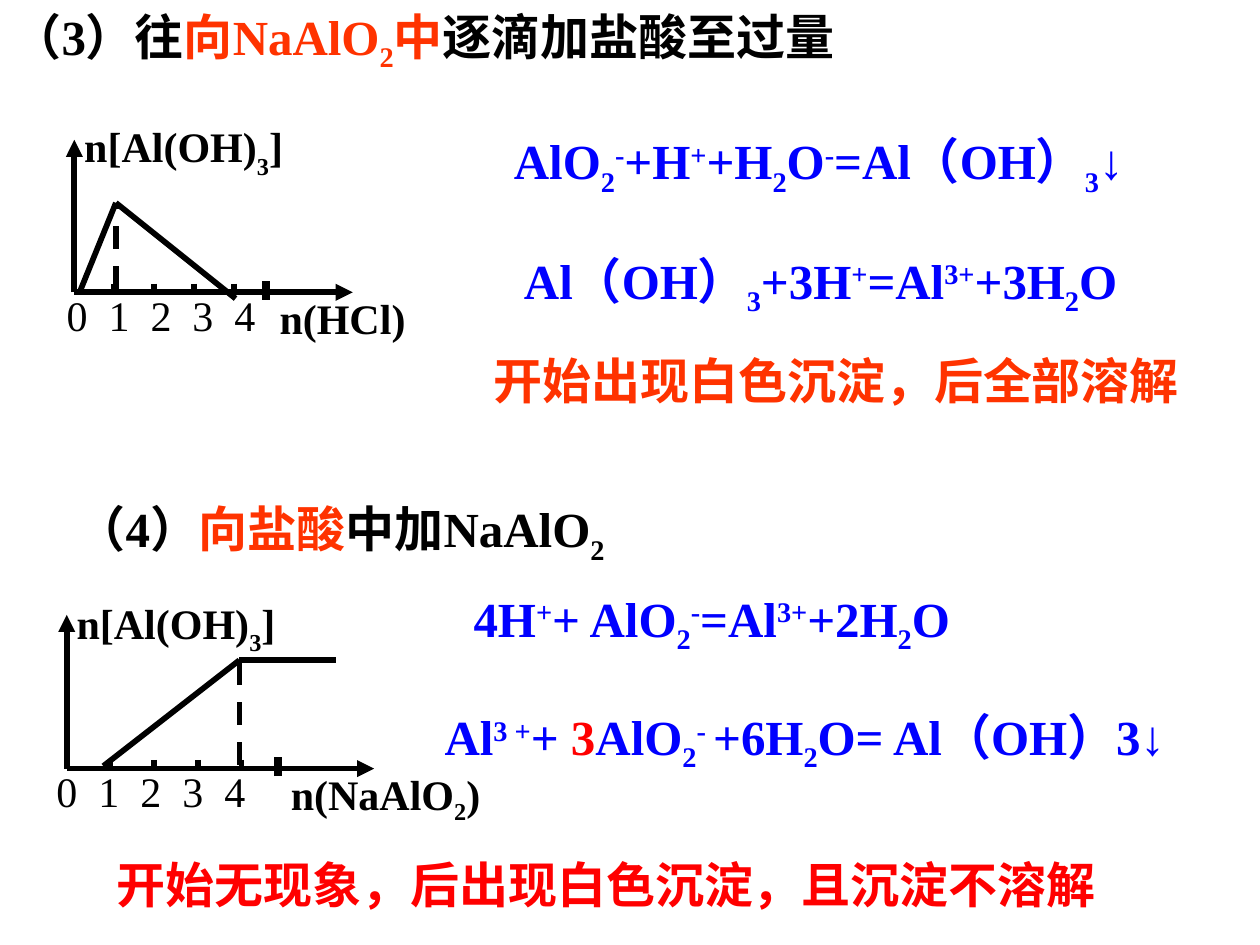
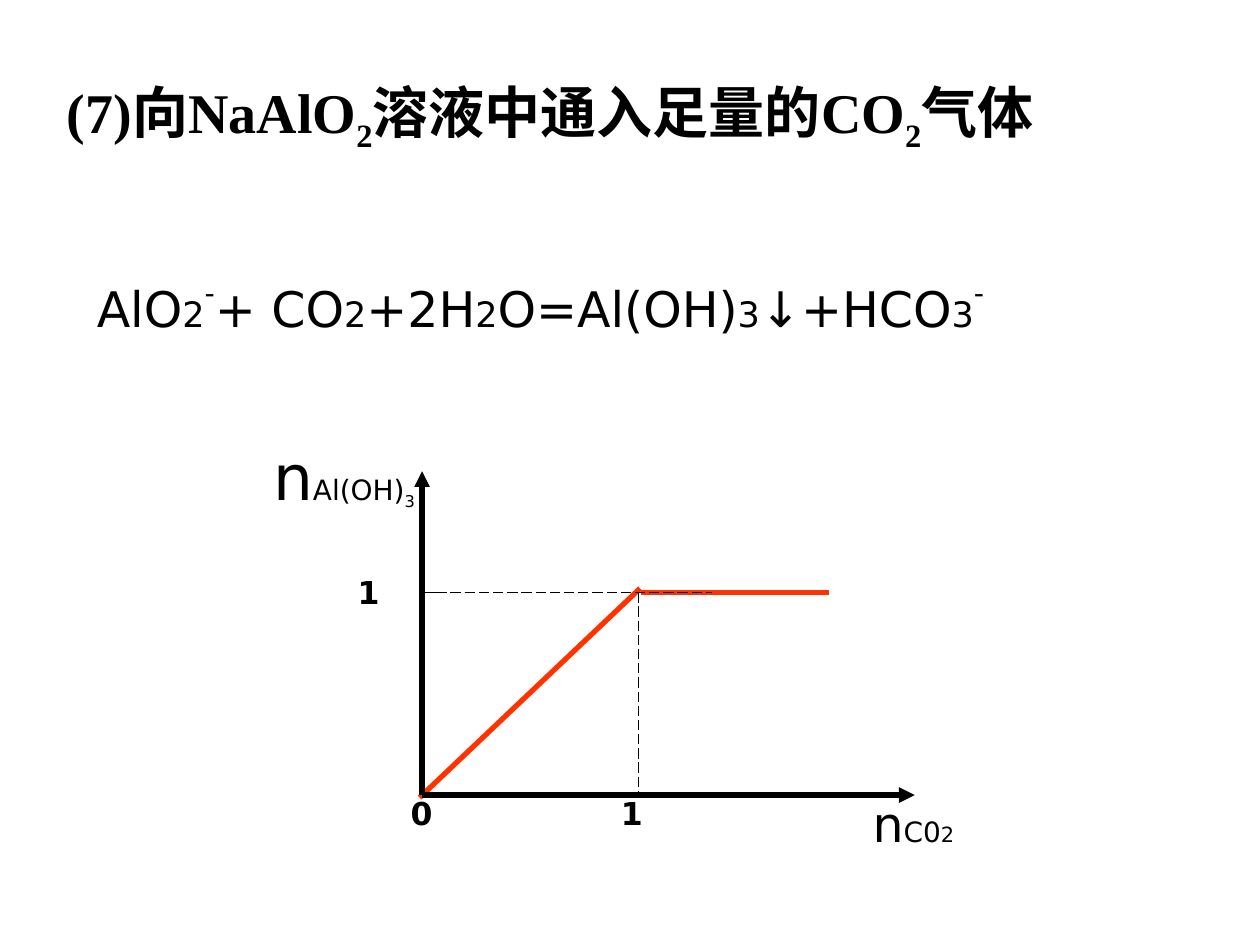
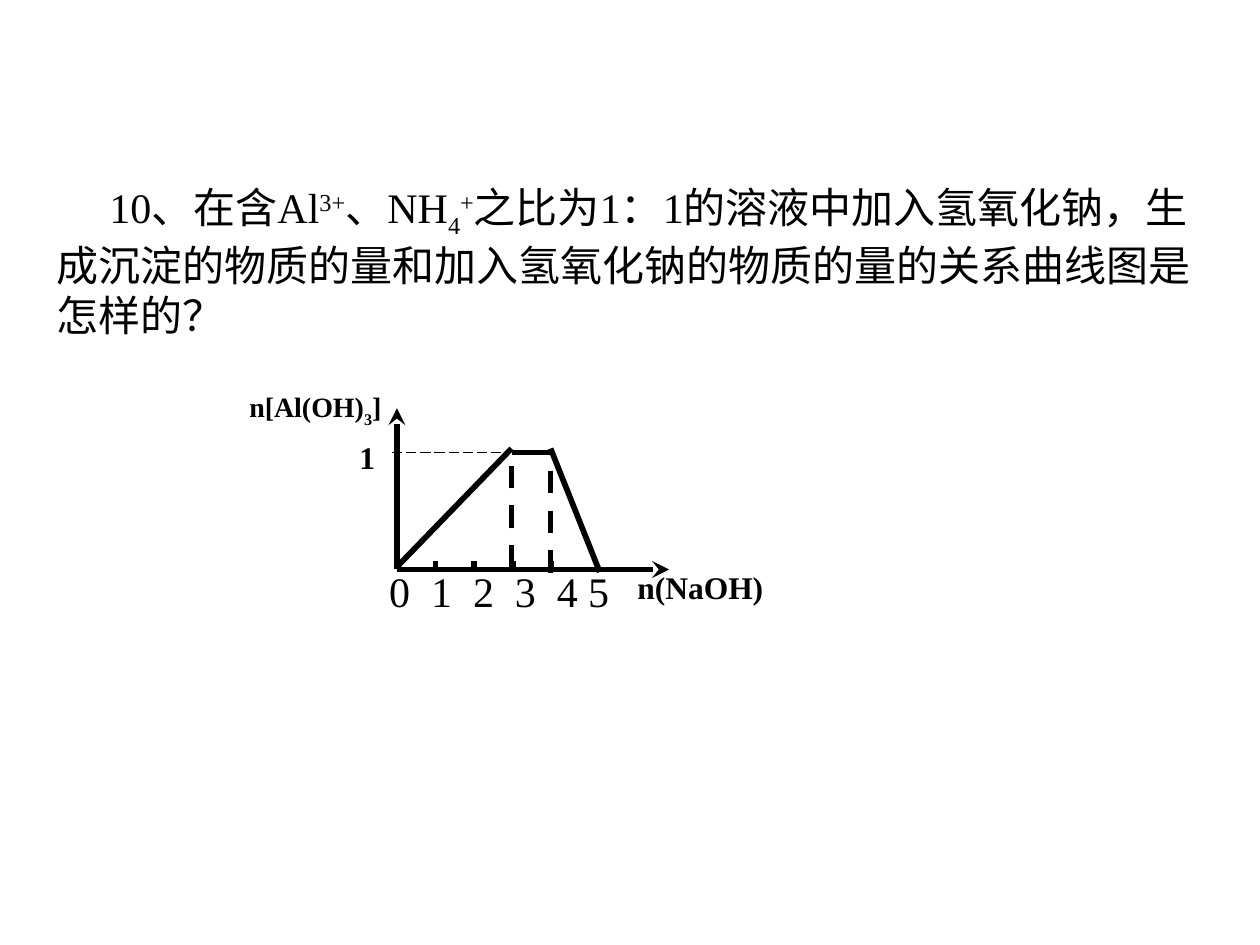
from dataclasses import dataclass

from lxml import etree
from pptx import Presentation
from pptx.dml.color import RGBColor
from pptx.enum.dml import MSO_LINE
from pptx.enum.lang import MSO_LANGUAGE_ID
from pptx.enum.shapes import MSO_CONNECTOR
from pptx.enum.text import MSO_ANCHOR, MSO_AUTO_SIZE, PP_ALIGN
from pptx.oxml.ns import qn
from pptx.slide import Slide
from pptx.util import Inches, Pt

BLACK = RGBColor(0x00, 0x00, 0x00)
ORANGE = RGBColor(0xFF, 0x33, 0x00)
RED = RGBColor(0xFF, 0x00, 0x00)
BLUE = RGBColor(0x00, 0x00, 0xFF)
SERIF = "Times New Roman"
SANS = "DejaVu Sans"
LEFT, CENTER = PP_ALIGN.LEFT, PP_ALIGN.CENTER
TOP, MIDDLE, BOTTOM = MSO_ANCHOR.TOP, MSO_ANCHOR.MIDDLE, MSO_ANCHOR.BOTTOM
DASH, LONG_DASH = MSO_LINE.DASH, MSO_LINE.LONG_DASH
STRAIGHT = MSO_CONNECTOR.STRAIGHT
NO_FIT = MSO_AUTO_SIZE.NONE
CHINESE = MSO_LANGUAGE_ID.SIMPLIFIED_CHINESE

SLIDE_WIDTH, SLIDE_HEIGHT = Inches(10), Inches(7.5)
COLUMN, ROW = SLIDE_WIDTH / 100, SLIDE_HEIGHT / 75
TITLE_ONLY, BLANK = 5, 6
THICK, MEDIUM, THIN = 3.25, 3, 0.75


def across(columns):
    return round(columns * COLUMN)


def down(rows):
    return round(rows * ROW)


def sub(text, share=-25):
    return text, {"baseline": share}


def sup(text, share=30):
    return text, {"baseline": share}


def sized(text, size):
    return text, {"size": size}


def tinted(text, color):
    return text, {"color": color}


def add_span(para, text, size, font=SERIF, color=BLACK, bold=False, baseline=0):
    span = para.add_run()
    span.text = text
    span.font.size = Pt(size)
    span.font.name = font
    span.font.bold = bold
    span.font.color.rgb = color
    span.font.language_id = CHINESE
    if baseline:
        span._r.get_or_add_rPr().set("baseline", str(baseline * 1000))


def write(frame, spans, align=LEFT, anchor=TOP, stops=(), indent=0, **style):
    frame.word_wrap = True
    frame.auto_size = NO_FIT
    frame.vertical_anchor = anchor
    para = frame.paragraphs[0]
    para.alignment = align
    properties = para._p.get_or_add_pPr()
    if indent:
        properties.set("indent", str(across(indent)))
    if stops:
        tabs = etree.SubElement(properties, qn("a:tabLst"))
        for stop in stops:
            etree.SubElement(tabs, qn("a:tab"), pos=str(across(stop)), algn="l")
    for span in spans:
        text, changes = (span, {}) if isinstance(span, str) else span
        add_span(para, text, **{**style, **changes})


def add_text(page, box, spans, **style):
    left, top, width, height = box
    shape = page.shapes.add_textbox(across(left), down(top), across(width), down(height))
    write(shape.text_frame, spans, **style)


def add_title(page, box, spans, **style):
    title = page.shapes.title
    left, top, width, height = box
    title.left, title.top = across(left), down(top)
    title.width, title.height = across(width), down(height)
    write(title.text_frame, spans, bold=True, **style)


@dataclass
class Graph:
    page: Slide
    left: float
    base: float

    def line(self, start, end, width=THICK, color=BLACK, dash=None, arrow=None):
        (x1, y1), (x2, y2) = start, end
        connector = self.page.shapes.add_connector(
            STRAIGHT,
            across(self.left + x1), down(self.base - y1),
            across(self.left + x2), down(self.base - y2))
        connector.line.color.rgb = color
        connector.line.width = Pt(width)
        if dash:
            connector.line.dash_style = dash
        if arrow:
            etree.SubElement(connector.line._get_or_add_ln(), qn("a:tailEnd"), type=arrow)
        etree.SubElement(connector._element.spPr, qn("a:effectLst"))

    def curve(self, points, **style):
        for start, end in zip(points, points[1:]):
            self.line(start, end, **style)

    def axes(self, width, height, arrow="triangle", weight=THICK):
        for tip in ((width, 0), (0, height)):
            self.line((0, 0), tip, width=weight, arrow=arrow)

    def ticks(self, step, count=4):
        for number in range(1, count + 1):
            self.line((number * step, 0.7), (number * step, 0))

    def label(self, x, y, width, height, spans, **style):
        add_text(self.page, (self.left + x, self.base - y, width, height), spans, **style)

    def scale(self, x, y, width, stops):
        numbers = "\t".join(str(number) for number in range(len(stops) + 1))
        self.label(x, y, width, 4.6, [numbers], size=24, stops=stops)


def even_stops(count=4, step=3.33):
    return [number * step for number in range(1, count + 1)]


def hydroxide(size):
    return dict(spans=["n[Al(OH)", sub("3", -30), "]"], size=size, bold=True)


def titration_graph(page, left, base, width, height, step, points, drop,
                    scale_left, name_left, mark, name, text_width):
    graph = Graph(page, left, base)
    graph.line(*drop, dash=DASH)
    graph.curve(points)
    graph.axes(width, height)
    graph.ticks(step)
    graph.scale(scale_left, 0.7, text_width, even_stops())
    graph.label(name_left, 0.5, text_width, 4.6, name, size=24, bold=True)
    graph.label(-0.2, 14.1, text_width, 4.6, **hydroxide(24))
    graph.line((mark, -0.6), (mark, 0.9), width=4.5)


def acid_slide(deck):
    page = deck.slides.add_slide(deck.slide_layouts[TITLE_ONLY])
    add_title(page, (0, 0, 92.1, 6.3), [
        "（3）往", tinted("向NaAlO", ORANGE), ("2", {"baseline": -25, "color": ORANGE}),
        tinted("中", ORANGE), "逐滴加盐酸至过量"], size=28)
    statements = [
        ((5.1, 39.1, 79.5, 6.3), BLACK,
         ["（4）", tinted("向盐酸", ORANGE), "中加NaAlO", sub("2")]),
        ((39.8, 9.9, 55.1, 6.3), BLUE,
         ["AlO", sub("2"), sup("-"), "+H", sup("+"), "+H", sub("2"), "O", sup("-"),
          "=Al（OH）", sub("3"), "↓"]),
        ((40.6, 19.4, 57.5, 6.3), BLUE,
         ["Al（OH）", sub("3"), "+3H", sup("+"), "=Al", sup("3+"), "+3H", sub("2"), "O"]),
        ((38.2, 27.3, 57.5, 5.7), ORANGE, ["开始出现白色沉淀，后全部溶解"]),
        ((36.6, 46.2, 53.5, 6.3), BLUE,
         ["4H", sup("+"), "+ AlO", sub("2"), sup("-"), "=Al", sup("3+"), "+2H",
          sub("2"), "O"]),
        ((34.3, 55.6, 63.4, 6.3), BLUE,
         ["Al", sup("3 +"), "+ ", tinted("3", RED), "AlO", sub("2"), sup("- "), "+6H",
          sub("2"), "O= Al（OH）3↓"]),
        ((8.3, 67.3, 89, 5.7), RED, ["开始无现象，后出现白色沉淀，且沉淀不溶解"]),
    ]
    for box, color, spans in statements:
        add_text(page, box, spans, size=28, color=color, bold=True)
    titration_graph(
        page, 5.9, 23.2, 22.1, 12.1, step=3.17,
        points=[(0.5, 0.2), (3.3, 7.1), (12.8, -0.5)], drop=[(3.3, 0.3), (3.3, 7.1)],
        scale_left=-1.6, name_left=15.3, mark=15.2, name=["n(HCl)"], text_width=18.2)
    titration_graph(
        page, 5.3, 61, 24.4, 12.2, step=3.47,
        points=[(2.9, 0.2), (13.7, 8.6), (21.4, 8.6)], drop=[(13.7, 0.3), (13.7, 9.4)],
        scale_left=-1.8, name_left=16.8, mark=16.8,
        name=["n(NaAlO", sub("2"), ")"], text_width=20)


def carbon_dioxide_slide(deck):
    page = deck.slides.add_slide(deck.slide_layouts[TITLE_ONLY])
    add_title(page, (4.3, 6, 93.7, 6.7), [
        "(7)向NaAlO", sub("2"), "溶液中通入足量的CO", sub("2"), "气体"],
        size=32, anchor=BOTTOM)
    two, three, minus = sized("2", 20), sized("3", 20), sup("-", 50)
    add_text(page, (6.7, 21.3, 85, 6), [
        "AlO", two, minus, "+ CO", two, "+2H", two, "O=Al(OH)", three, "↓+HCO", three,
        minus], size=28, font=SANS, anchor=MIDDLE)

    graph = Graph(page, 33.5, 63.1)
    graph.line((-0.2, -0.2), (17.3, 16.4), width=MEDIUM, color=ORANGE)
    graph.line((17.4, 16.1), (32.3, 16.1), width=MEDIUM, color=ORANGE)
    graph.label(-16, 28.9, 19.6, 7, [
        "n", sized("Al(OH)", 16), ("3", {"size": 16, "baseline": -25})],
        size=36, font=SANS, align=CENTER)
    graph.label(31.5, 0.6, 15, 5.7, ["n", sized("C0", 16), sized("2", 12)],
                size=28, font=SANS, align=CENTER)
    graph.axes(39.1, 25.7, weight=MEDIUM)
    graph.line((0, 16.1), (1.1, 16.1), width=THIN)
    graph.line((0, 16.1), (23, 16.1), width=THIN, dash=LONG_DASH)
    graph.line((17.2, 16.1), (17.2, 0), width=THIN, dash=LONG_DASH)
    for x, y, number in ((-3.5, 0.6, "0"), (13.2, 0.6, "1"), (-7.7, 18.1, "1")):
        graph.label(x, y, 6.9, 4, [number], size=18, font=SANS, bold=True, align=CENTER)


def ammonium_slide(deck):
    page = deck.slides.add_slide(deck.slide_layouts[BLANK])
    add_text(page, (3.5, 13.9, 92.1, 13.6), [
        "10、在含Al", sup("3+"), "、NH", sub("4"), sup("+"),
        "之比为1：1的溶液中加入氢氧化钠，生成沉淀的物质的量和加入氢氧化钠的物质的量的关系曲线图是怎样的？"],
        size=24, anchor=MIDDLE, indent=4.2)

    graph = Graph(page, 31.5, 45.2)
    graph.line((9.1, 0.1), (9.1, 9.6), dash=DASH)
    graph.line((-0.1, 0.1), (9.1, 9.6))
    graph.line((12.2, 9.6), (16.1, -0.2))
    graph.axes(21.6, 12.8, arrow="stealth")
    graph.ticks(3.07)
    graph.scale(-1.6, 0.8, 24, even_stops() + [15.8])
    graph.label(18.1, 0.6, 17.8, 4.8, ["n(NaOH)"], size=18, bold=True)
    graph.label(-12.7, 14.8, 17.8, 4.8, **hydroxide(16))
    graph.line((9.1, 9.3), (12.2, 9.3), width=MEDIUM)
    graph.label(-5.1, 10.9, 5.5, 4, ["1"], size=18, bold=True, align=CENTER)
    graph.line((-0.4, 9.3), (8.3, 9.3), width=THIN, dash=LONG_DASH)
    graph.line((12.2, -0.3), (12.2, 9.3), dash=DASH)


def main():
    deck = Presentation()
    deck.slide_width, deck.slide_height = SLIDE_WIDTH, SLIDE_HEIGHT
    for build in (acid_slide, carbon_dioxide_slide, ammonium_slide):
        build(deck)
    deck.save("out.pptx")


if __name__ == "__main__":
    main()
